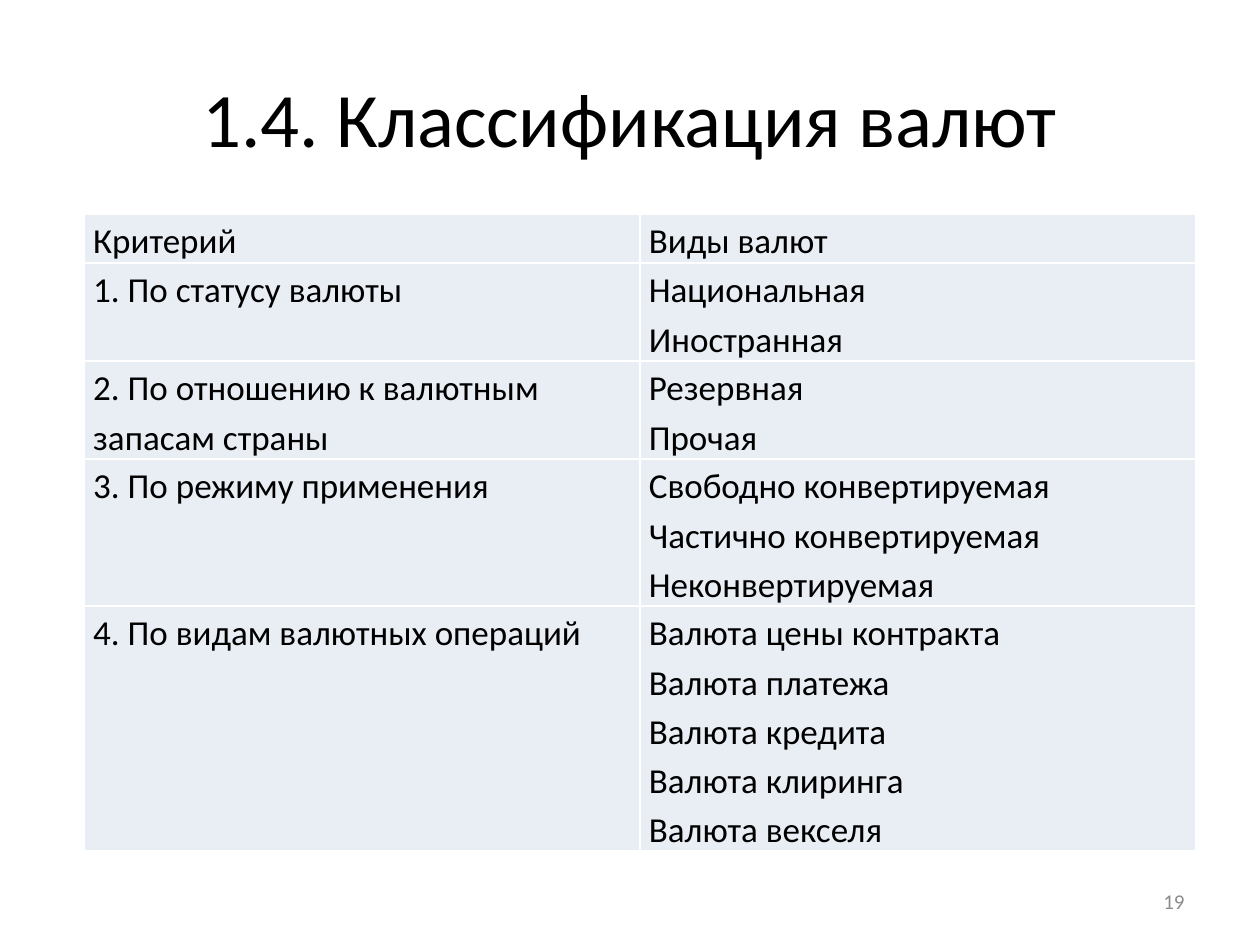
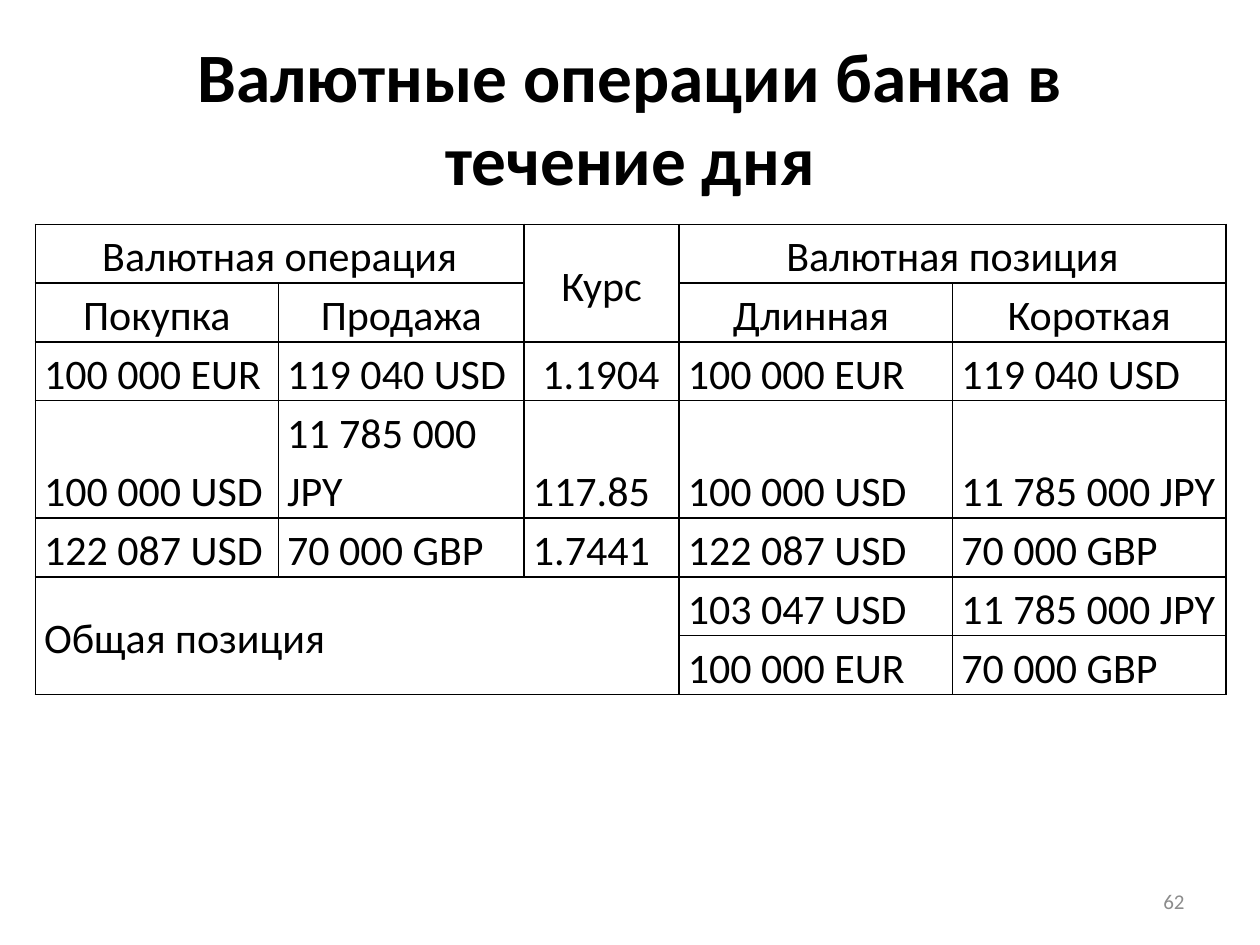
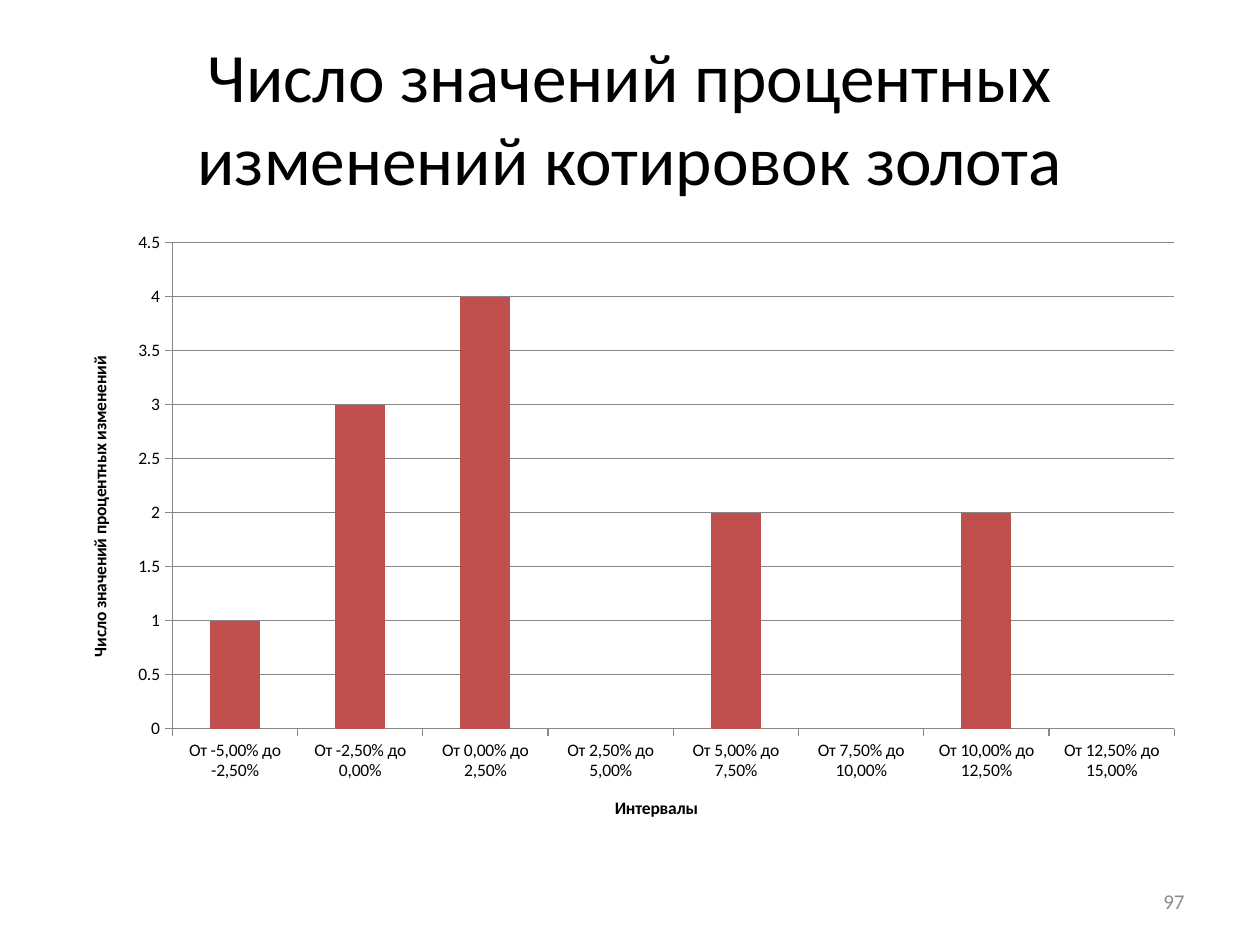
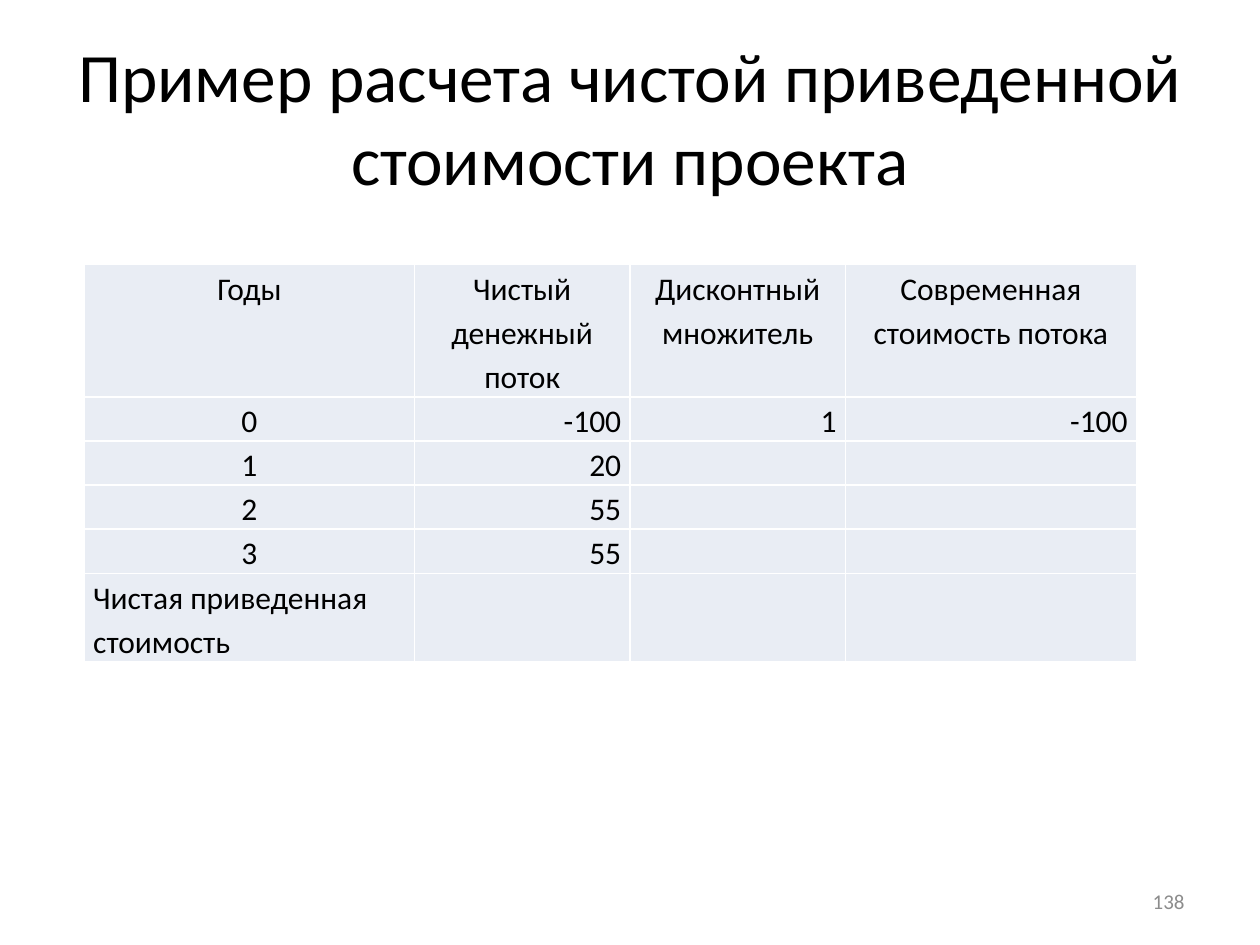
import pptx
import pptx.chart.data
import pptx.dml.color
import pptx.enum.chart
import pptx.enum.text
import pptx.oxml
import pptx.oxml.ns
import pptx.util

Inches = pptx.util.Inches
Pt = pptx.util.Pt
RGBColor = pptx.dml.color.RGBColor
ALIGN = pptx.enum.text.PP_ALIGN
ANCHOR = pptx.enum.text.MSO_ANCHOR

FONT = "Calibri"
BLACK = RGBColor(0x00, 0x00, 0x00)
WHITE = RGBColor(0xFF, 0xFF, 0xFF)
PALE_BLUE = RGBColor(0xE9, 0xED, 0xF4)
PAGE_GREY = RGBColor(0x8C, 0x8C, 0x8C)
AXIS_GREY = RGBColor(0x87, 0x87, 0x87)
BAR_RED = RGBColor(0xC0, 0x50, 0x4D)

TITLE_BOX = (0.5, 0.3, 9, 1.25)
NUMBER_BOX = (7.17, 6.95, 2.33, 0.4)
LINE_SPACING = 1.15
LINE_HEIGHT = 1.4 / 72  # inches of table row per point of text


def set_font(font, size, color=BLACK, bold=False):
    font.name = FONT
    font.size = Pt(size)
    font.bold = bold
    font.color.rgb = color


def write(frame, text, size, color=BLACK, bold=False, align=ALIGN.LEFT, spacing=1.0):
    """Fill a text frame, one paragraph for each line of the text."""
    for index, line in enumerate(text.split("\n")):
        paragraph = frame.add_paragraph() if index else frame.paragraphs[0]
        paragraph.alignment = align
        paragraph.line_spacing = spacing
        run = paragraph.add_run()
        run.text = line
        set_font(run.font, size, color, bold)


def add_text(slide, box, text, size, **style):
    frame = slide.shapes.add_textbox(*map(Inches, box)).text_frame
    frame.word_wrap = True
    frame.vertical_anchor = ANCHOR.MIDDLE
    write(frame, text, size, **style)


def add_slide(deck, title, number, size=39.6, bold=False):
    slide = deck.slides.add_slide(deck.slide_layouts[6])
    add_text(slide, TITLE_BOX, title, size, bold=bold, align=ALIGN.CENTER)
    add_text(slide, NUMBER_BOX, str(number), 12, color=PAGE_GREY, align=ALIGN.RIGHT)
    return slide


def set_borders(cell, color):
    properties = cell._tc.get_or_add_tcPr()
    for index, side in enumerate("LRTB"):
        properties.insert(index, pptx.oxml.parse_xml(
            f'<a:ln{side} {pptx.oxml.ns.nsdecls("a")} w="12700"><a:solidFill>'
            f'<a:srgbClr val="{color}"/></a:solidFill></a:ln{side}>'))


def add_grid(slide, origin, widths, rows, row_lines, size, align,
             border=WHITE, fill=PALE_BLUE, anchor=ANCHOR.TOP, merges=()):
    """Place a table; row_lines counts text lines and align maps (row, column)."""
    heights = [lines * size * LINE_HEIGHT for lines in row_lines]
    box = (*origin, sum(widths), sum(heights))
    table = slide.shapes.add_table(len(rows), len(widths), *map(Inches, box)).table
    table.first_row = table.horz_banding = False
    for column, width in zip(table.columns, widths):
        column.width = Inches(width)
    for row, height in zip(table.rows, heights):
        row.height = Inches(height)
    for r, texts in enumerate(rows):
        for c, text in enumerate(texts):
            cell = table.cell(r, c)
            cell.margin_left = cell.margin_right = Inches(0.07)
            cell.margin_top = cell.margin_bottom = 0
            cell.vertical_anchor = anchor
            if fill is None:
                cell.fill.background()
            else:
                cell.fill.solid()
                cell.fill.fore_color.rgb = fill
            set_borders(cell, border)
            if text:
                write(cell.text_frame, text, size, align=align(r, c), spacing=LINE_SPACING)
    for top, left, bottom, right in merges:
        table.cell(top, left).merge(table.cell(bottom, right))
        if bottom > top:
            table.cell(top, left).vertical_anchor = ANCHOR.MIDDLE


def style_axis(axis, title):
    axis.has_title = True
    write(axis.axis_title.text_frame, title, 10, bold=True, align=ALIGN.CENTER)
    axis.major_tick_mark = pptx.enum.chart.XL_TICK_MARK.OUTSIDE
    axis.minor_tick_mark = pptx.enum.chart.XL_TICK_MARK.NONE
    axis.format.line.color.rgb = AXIS_GREY
    set_font(axis.tick_labels.font, 10)


def add_histogram(slide, box, intervals, counts):
    chart_data = pptx.chart.data.CategoryChartData()
    chart_data.categories = intervals
    chart_data.add_series("Series 1", counts)
    chart = slide.shapes.add_chart(
        pptx.enum.chart.XL_CHART_TYPE.COLUMN_CLUSTERED, *map(Inches, box), chart_data).chart
    set_font(chart.font, 10)
    chart.has_legend = False
    chart.has_title = False
    plot = chart.plots[0]
    plot.gap_width = 150
    plot.vary_by_categories = False
    bars = plot.series[0]
    bars.format.fill.solid()
    bars.format.fill.fore_color.rgb = BAR_RED
    style_axis(chart.category_axis, "Интервалы")
    style_axis(chart.value_axis, "Число значений процентных изменений")
    chart.value_axis.minimum_scale = 0
    chart.value_axis.maximum_scale = 4.5
    chart.value_axis.major_unit = 0.5
    chart.value_axis.has_major_gridlines = True
    chart.value_axis.major_gridlines.format.line.color.rgb = AXIS_GREY


def currency_classes(deck):
    slide = add_slide(deck, "1.4. Классификация валют", 19, size=44)
    classes = [
        ("Критерий", "Виды валют"),
        ("1. По статусу валюты", "Национальная\nИностранная"),
        ("2. По отношению к валютным запасам страны", "Резервная\nПрочая"),
        ("3. По режиму применения",
         "Свободно конвертируемая\nЧастично конвертируемая\nНеконвертируемая"),
        ("4. По видам валютных операций",
         "Валюта цены контракта\nВалюта платежа\nВалюта кредита\n"
         "Валюта клиринга\nВалюта векселя"),
    ]
    add_grid(slide, (0.67, 1.7), [4.41] * 2, classes,
             [kinds.count("\n") + 1 for _, kinds in classes], 20,
             align=lambda r, c: ALIGN.LEFT)


def bank_operations(deck):
    slide = add_slide(deck, "Валютные операции банка в течение дня", 62, bold=True)
    operations = [
        ("Валютная операция", "", "Курс", "Валютная позиция", ""),
        ("Покупка", "Продажа", "", "Длинная ", "Короткая"),
        ("100 000 EUR", "119 040 USD", " 1.1904", "100 000 EUR", "119 040 USD"),
        ("100 000 USD", "11 785 000 JPY", "117.85", "100 000 USD", "11 785 000 JPY"),
        ("122 087 USD", "70 000 GBP", "1.7441", "122 087 USD", "70 000 GBP"),
        ("Общая позиция", "", "", "103 047 USD", "11 785 000 JPY"),
        ("", "", "", "100 000 EUR", "70 000 GBP"),
    ]
    add_grid(slide, (0.28, 1.78), [1.93, 1.95, 1.23, 2.17, 2.17], operations,
             [1, 1, 1, 2, 1, 1, 1], 24,
             align=lambda r, c: ALIGN.CENTER if r < 2 else ALIGN.LEFT,
             border=BLACK, fill=None, anchor=ANCHOR.BOTTOM,
             merges=[(0, 0, 0, 1), (0, 2, 1, 2), (0, 3, 0, 4), (5, 0, 6, 2)])


def gold_changes(deck):
    slide = add_slide(deck, "Число значений процентных изменений котировок золота", 97)
    bounds = ["-5,00%", "-2,50%", "0,00%", "2,50%", "5,00%",
              "7,50%", "10,00%", "12,50%", "15,00%"]
    intervals = [f"От {low} до {high}" for low, high in zip(bounds, bounds[1:])]
    add_histogram(slide, (0.5, 1.75, 9, 4.95), intervals, [1, 3, 4, 0, 2, 0, 2, 0])


def net_present_value(deck):
    slide = add_slide(deck, "Пример расчета чистой приведенной стоимости проекта", 138)
    flows = [
        ("Годы", "Чистый денежный поток", "Дисконтный множитель",
         "Современная стоимость потока"),
        ("0", "-100", "1", "-100"),
        ("1", "20", "", ""),
        ("2", "55", "", ""),
        ("3", "55", "", ""),
        ("Чистая приведенная стоимость", "", "", ""),
    ]

    def align(r, c):
        if r == len(flows) - 1:
            return ALIGN.LEFT
        return ALIGN.CENTER if r == 0 or c == 0 else ALIGN.RIGHT

    add_grid(slide, (0.67, 2.1), [2.62, 1.71, 1.71, 2.31], flows,
             [3, 1, 1, 1, 1, 2], 18, align=align)


def main():
    deck = pptx.Presentation()
    deck.slide_width = Inches(10)
    deck.slide_height = Inches(7.5)
    for build in (currency_classes, bank_operations, gold_changes, net_present_value):
        build(deck)
    deck.save("out.pptx")


if __name__ == "__main__":
    main()
